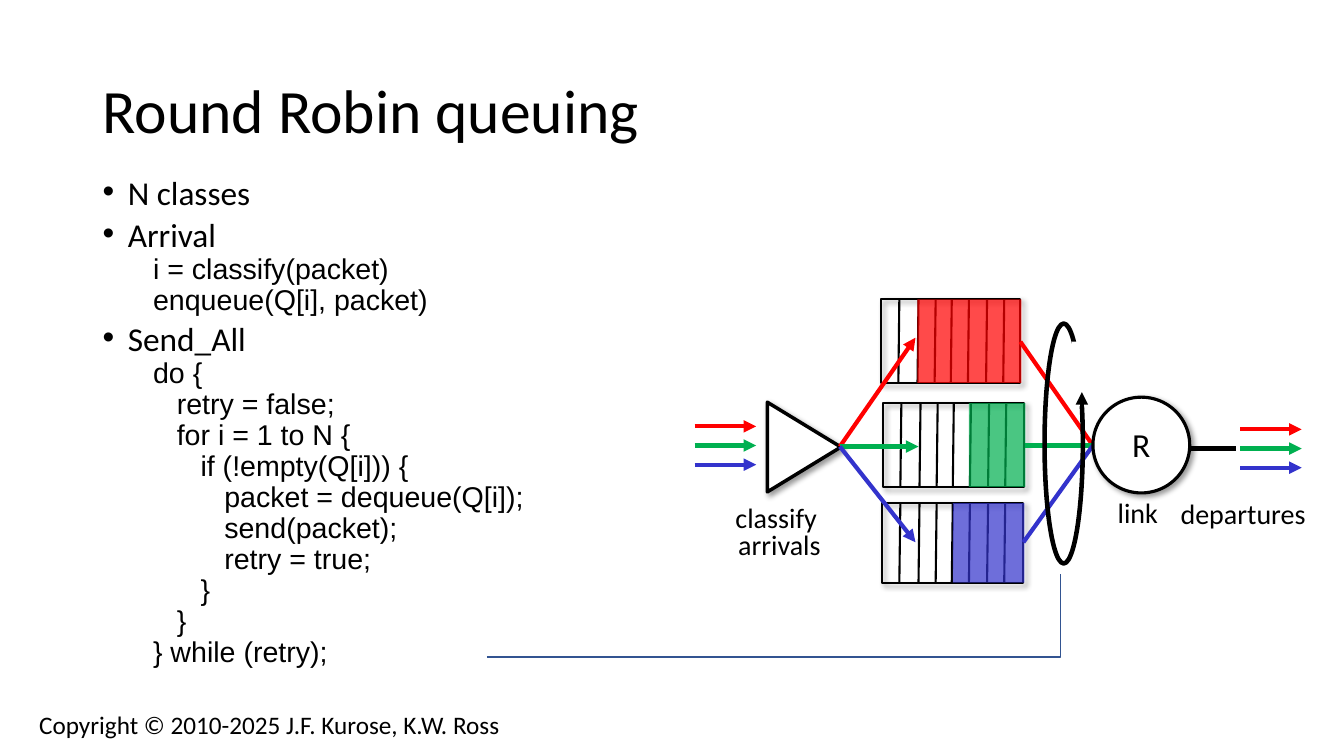
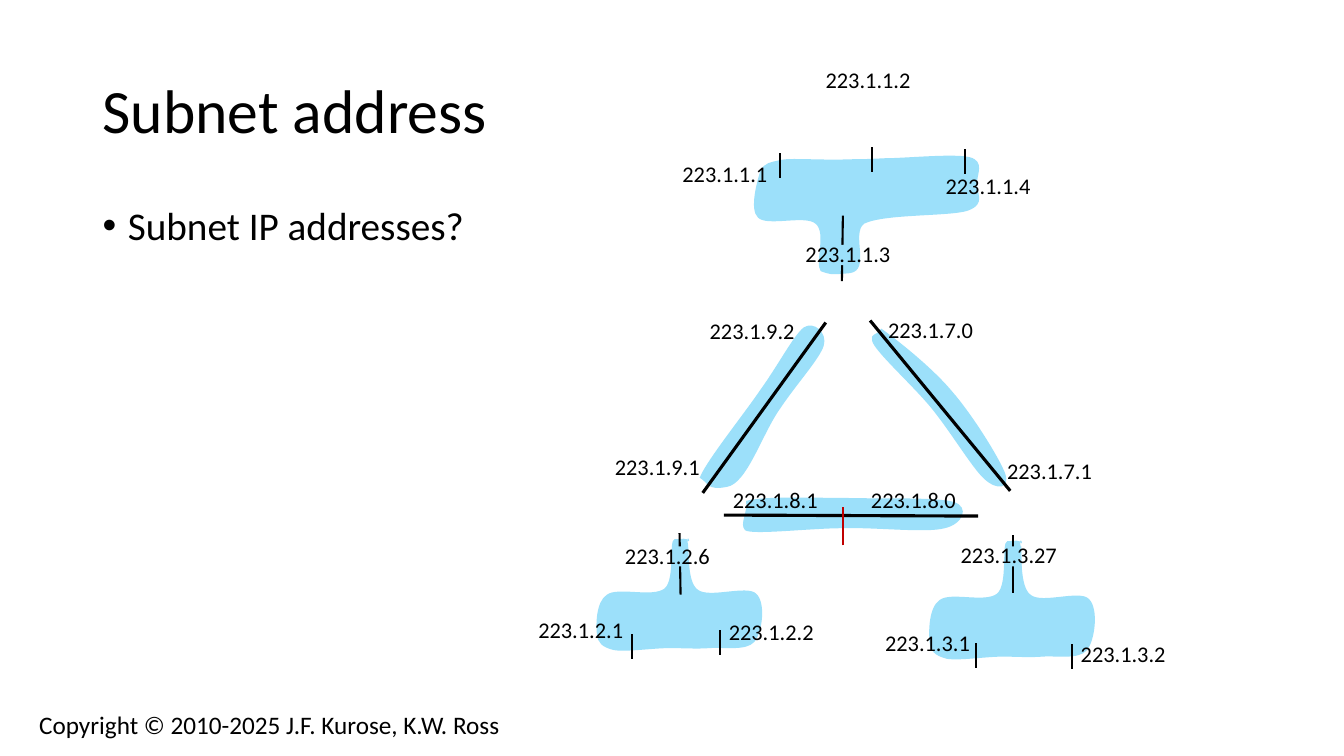
from lxml import etree
from pptx import Presentation
from pptx.dml.color import RGBColor
from pptx.enum.shapes import MSO_CONNECTOR, MSO_SHAPE
from pptx.enum.text import MSO_ANCHOR, MSO_AUTO_SIZE, PP_ALIGN
from pptx.oxml.ns import qn
from pptx.util import Inches, Pt

STRAIGHT = MSO_CONNECTOR.STRAIGHT
RECTANGLE = MSO_SHAPE.RECTANGLE
ELLIPSE = MSO_SHAPE.OVAL
TRIANGLE = MSO_SHAPE.ISOSCELES_TRIANGLE
CENTER, LEFT = PP_ALIGN.CENTER, PP_ALIGN.LEFT
MIDDLE, TOP = MSO_ANCHOR.MIDDLE, MSO_ANCHOR.TOP
GROW = MSO_AUTO_SIZE.SHAPE_TO_FIT_TEXT

BLACK, WHITE = "000000", "FFFFFF"
RED, GREEN, BLUE = "FF0000", "00B050", "3333CC"
FLOW_COLORS = (RED, GREEN, BLUE)
DARK_RED, GUIDE_BLUE, SUBNET_BLUE = "C00000", "325491", "9CE0FA"
FOOTER = "Copyright © 2010-2025 J.F. Kurose, K.W. Ross"
CELL_EDGES = (0.18, 0.37, 0.54, 0.7, 0.87, 1.05, 1.22)

ARRIVAL_CODE = ["i = classify(packet)", "enqueue(Q[i], packet)"]
SEND_CODE = [
    "do {",
    "   retry = false;",
    "   for i = 1 to N {",
    "      if (!empty(Q[i])) {",
    "         packet = dequeue(Q[i]);",
    "         send(packet);",
    "         retry = true;",
    "      }",
    "   }",
    "} while (retry);",
]

RIGHT_LINK = [
    (8.65, 3.38), (8.66, 3.47), (9.04, 3.81), (9.23, 4.04), (9.42, 4.27), (9.64, 4.64),
    (9.76, 4.75), (9.89, 4.87), (10.02, 4.85), (9.97, 4.7), (9.92, 4.56), (9.65, 4.12),
    (9.44, 3.88), (9.24, 3.64), (8.87, 3.35), (8.74, 3.26), (8.68, 3.35), (8.64, 3.29),
    (8.65, 3.38),
]
BOTTOM_LINK = [
    (7.39, 5.26), (7.46, 5.31), (8.03, 5.24), (8.36, 5.24), (8.69, 5.23), (9.19, 5.29),
    (9.37, 5.24), (9.55, 5.2), (9.62, 5.03), (9.46, 4.98), (9.29, 4.93), (8.73, 4.95),
    (8.39, 4.94), (8.05, 4.94), (7.56, 4.92), (7.4, 4.97), (7.42, 5.08), (7.33, 5.2),
    (7.39, 5.26),
]
LEFT_LINK = [
    (7.21, 4.83), (7.41, 4.8), (7.56, 4.3), (7.74, 4.05), (7.9, 3.81), (8.13, 3.56),
    (8.17, 3.43), (8.21, 3.3), (8.07, 3.18), (7.97, 3.25), (7.87, 3.33), (7.72, 3.62),
    (7.54, 3.87), (7.37, 4.12), (7, 4.58), (6.94, 4.74), (7.03, 4.79), (7.01, 4.87),
    (7.21, 4.83),
]
TOP_SUBNET = [
    (8.43, 2.71), (8.64, 2.68), (8.44, 2.32), (8.57, 2.22), (8.77, 2.12), (9.42, 2.15),
    (9.6, 2.09), (9.79, 2.02), (9.68, 1.91), (9.69, 1.82), (9.69, 1.73), (9.77, 1.6),
    (9.62, 1.56), (9.47, 1.52), (8.98, 1.57), (8.78, 1.57), (8.57, 1.58), (8.52, 1.58),
    (8.4, 1.58), (8.28, 1.59), (8.16, 1.58), (8.05, 1.58), (7.94, 1.58), (7.81, 1.57),
    (7.73, 1.59), (7.65, 1.61), (7.58, 1.61), (7.54, 1.7), (7.51, 1.8), (7.43, 2.08),
    (7.52, 2.16), (7.61, 2.25), (7.99, 2.13), (8.09, 2.22), (8.2, 2.31), (8.08, 2.61),
    (8.14, 2.69), (8.23, 2.72), (8.22, 2.73), (8.43, 2.71),
]
LEFT_SUBNET = [
    (6.69, 5.35), (6.63, 5.36), (6.7, 5.75), (6.59, 5.84), (6.47, 5.93), (6.13, 5.82),
    (6.02, 5.9), (5.91, 5.97), (5.91, 6.2), (5.92, 6.29), (5.93, 6.38), (5.97, 6.42),
    (6.09, 6.45), (6.21, 6.47), (6.48, 6.43), (6.64, 6.43), (6.8, 6.43), (6.9, 6.44),
    (7.04, 6.43), (7.18, 6.42), (7.4, 6.46), (7.48, 6.37), (7.56, 6.28), (7.6, 5.98),
    (7.5, 5.89), (7.41, 5.8), (7.03, 5.94), (6.92, 5.85), (6.81, 5.77), (6.84, 5.46),
    (6.82, 5.38), (6.81, 5.3), (6.85, 5.37), (6.83, 5.37), (6.81, 5.33), (6.76, 5.35),
    (6.69, 5.35),
]
RIGHT_SUBNET = [(x + 3.3, 5.37 + (y - 5.35) * 1.06) for x, y in LEFT_SUBNET]

ADDRESSES = [
    ("223.1.1.1", 6.67, 1.54), ("223.1.1.2", 8.09, 0.61), ("223.1.1.3", 7.89, 2.33),
    ("223.1.1.4", 9.28, 1.66), ("223.1.2.1", 5.24, 6.06), ("223.1.2.2", 7.13, 6.08),
    ("223.1.2.6", 6.1, 5.33), ("223.1.3.1", 8.68, 6.19), ("223.1.3.2", 10.62, 6.3),
    ("223.1.3.27", 9.43, 5.32), ("223.1.7.0", 8.71, 3.09), ("223.1.7.1", 9.89, 4.49),
    ("223.1.8.0", 8.54, 4.77), ("223.1.8.1", 7.17, 4.77), ("223.1.9.1", 6, 4.45),
    ("223.1.9.2", 6.94, 3.1),
]
HOST_TICKS = [(7.74, 1.52), (8.65, 1.46), (9.57, 1.48), (6.27, 6.29),
              (7.14, 6.25), (9.68, 6.38), (10.63, 6.39)]


def color(value):
    return RGBColor.from_string(value)


def add_paragraph(frame, text, size=20, font="Calibri", align=LEFT, spacing=1.0,
                  before=0, margin=0, bullet=False):
    first = not frame.paragraphs[0].runs
    para = frame.paragraphs[0] if first else frame.add_paragraph()
    properties = para._p.get_or_add_pPr()
    properties.set("marL", str(Inches(margin)))
    properties.set("indent", str(Inches(-margin if bullet else 0)))
    if bullet:
        etree.SubElement(properties, qn("a:buFont"), typeface="Arial")
        etree.SubElement(properties, qn("a:buChar"), char="•")
    para.alignment = align
    para.line_spacing = spacing
    para.space_before = Pt(0 if first else before)
    span = para.add_run()
    span.text = text
    span.font.size = Pt(size)
    span.font.name = font
    span.font.color.rgb = color(BLACK)


def add_text(page, left, top, width, height, *lines, wrap=True, grow=False,
             anchor=TOP, **style):
    box = page.shapes.add_textbox(Inches(left), Inches(top), Inches(width), Inches(height))
    frame = box.text_frame
    frame.word_wrap = wrap
    frame.vertical_anchor = anchor
    if grow:
        frame.auto_size = GROW
    for line in lines:
        add_paragraph(frame, line, **style)
    return frame


def add_label(page, left, top, width, height, *lines, **style):
    add_text(page, left, top, width, height, *lines, wrap=False, grow=True, **style)


def paint(shape, fill=None, line=None, weight=1.5, opacity=100, shadow=False):
    shape.shadow.inherit = False
    if fill:
        shape.fill.solid()
        shape.fill.fore_color.rgb = color(fill)
        if opacity < 100:
            tint = shape._element.spPr.find(".//" + qn("a:srgbClr"))
            etree.SubElement(tint, qn("a:alpha"), val=str(opacity * 1000))
    else:
        shape.fill.background()
    if line:
        shape.line.color.rgb = color(line)
        shape.line.width = Pt(weight)
    else:
        shape.line.fill.background()
    if shadow:
        effects = shape._element.spPr.find(qn("a:effectLst"))
        outer = etree.SubElement(effects, qn("a:outerShdw"), blurRad=str(Pt(4)),
                                 dist=str(Pt(3)), dir=str(45 * 60000), rotWithShape="0")
        tint = etree.SubElement(outer, qn("a:srgbClr"), val=BLACK)
        etree.SubElement(tint, qn("a:alpha"), val="40000")


def add_shape(page, kind, left, top, width, height, **style):
    shape = page.shapes.add_shape(kind, Inches(left), Inches(top), Inches(width), Inches(height))
    paint(shape, **style)
    return shape


def add_line(page, start, end, stroke=BLACK, weight=1.5, arrow=False):
    line = page.shapes.add_connector(STRAIGHT, *(Inches(value) for value in (*start, *end)))
    line.line.color.rgb = color(stroke)
    line.line.width = Pt(weight)
    properties = line._element.spPr
    if arrow:
        etree.SubElement(properties.find(qn("a:ln")), qn("a:tailEnd"), type="triangle")
    etree.SubElement(properties, qn("a:effectLst"))


def add_outline(page, points, close=True, **style):
    corners = [(Inches(x), Inches(y)) for x, y in points]
    builder = page.shapes.build_freeform(*corners[0], scale=1.0)
    builder.add_line_segments(corners[1:], close=close)
    shape = builder.convert_to_shape()
    paint(shape, **style)
    return shape


def add_blob(page, knots):
    shape = add_outline(page, knots, fill=SUBNET_BLUE)
    segments = list(shape._element.iter(qn("a:lnTo")))
    for first in range(0, len(knots) - 1, 3):
        curve = etree.Element(qn("a:cubicBezTo"))
        segments[first].addprevious(curve)
        for segment in segments[first:first + 3]:
            curve.append(segment[0])
            segment.getparent().remove(segment)


def add_queue(page, left, top, width, height, fill_left, fill):
    add_shape(page, RECTANGLE, left, top, width, height, line=BLACK, shadow=True)
    for edge in CELL_EDGES:
        x = left + edge
        add_line(page, (x, top), (x - 0.01, top + height))
    add_shape(page, RECTANGLE, fill_left, top, left + width + 0.01 - fill_left, height,
              fill=fill, opacity=71)


def add_flows(page, left, top):
    for index, stroke in enumerate(FLOW_COLORS):
        y = top + index * 0.19
        add_line(page, (left, y), (left + 0.61, y), stroke, 3, arrow=True)


def add_page(deck, title):
    page = deck.slides.add_slide(deck.slide_layouts[6])
    add_text(page, 0.92, 0.4, 11.5, 1.45, title, anchor=MIDDLE, size=44, spacing=0.9)
    add_text(page, 0.29, 6.99, 4.9, 0.4, FOOTER, grow=True, size=18)
    return page


def build_round_robin(deck):
    page = add_page(deck, "Round Robin queuing")
    heading = dict(size=23.8, spacing=0.7, before=10, margin=0.25, bullet=True)
    code = dict(size=20.4, font="Arial", spacing=0.7, before=5, margin=0.5)
    body = add_text(page, 0.92, 1.77, 5.87, 4.99, "N classes", **heading)
    for title, lines in (("Arrival", ARRIVAL_CODE), ("Send_All", SEND_CODE)):
        add_paragraph(body, title, **heading)
        for line in lines:
            add_paragraph(body, line, **code)

    add_line(page, (11.76, 4.45), (12.26, 4.45), weight=3)
    add_queue(page, 8.74, 2.97, 1.38, 0.83, 9.1, RED)
    add_queue(page, 8.76, 4, 1.4, 0.83, 9.61, GREEN)
    add_queue(page, 8.75, 4.99, 1.4, 0.79, 9.45, BLUE)
    classifier = add_shape(page, TRIANGLE, 7.53, 4.07, 0.89, 0.73, fill=WHITE,
                           line=BLACK, weight=2.5, shadow=True)
    classifier.rotation = 90
    add_flows(page, 6.89, 4.23)
    add_flows(page, 12.3, 4.26)

    queue_entries = ((9.08, 3.35), (9.11, 4.43), (9.08, 5.38))
    queue_exits = ((10.12, 3.39), (10.17, 4.42), (10.15, 5.38))
    for stroke, entry, leave in zip(FLOW_COLORS, queue_entries, queue_exits):
        add_line(page, (8.33, 4.43), entry, stroke, 3, arrow=True)
        add_line(page, leave, (10.84, 4.42), stroke, 3)

    add_shape(page, ELLIPSE, 10.84, 3.94, 0.96, 0.95, fill=WHITE,
              line=BLACK, weight=2.25, shadow=True)
    caption = dict(align=CENTER, spacing=0.8)
    add_label(page, 11.13, 4.23, 0.38, 0.43, "R", size=24, **caption)
    add_label(page, 7.19, 4.98, 1.08, 0.65, "classify ", "arrivals", **caption)
    add_label(page, 10.98, 4.93, 0.61, 0.38, "link", **caption)
    add_label(page, 11.6, 4.94, 1.46, 0.38, "departures", **caption)

    add_shape(page, ELLIPSE, 10.36, 3.21, 0.38, 2.38, line=BLACK, weight=3.25)
    add_shape(page, RECTANGLE, 10.63, 3.39, 0.21, 0.64, fill=WHITE)
    add_line(page, (10.73, 4.18), (10.73, 3.89), weight=3, arrow=True)
    add_outline(page, [(4.83, 6.52), (10.52, 6.52), (10.52, 5.69)], close=False,
                line=GUIDE_BLUE, weight=1)


def build_subnets(deck):
    page = add_page(deck, "Subnet address")
    add_text(page, 0.92, 2, 11.5, 4.76, "Subnet IP addresses?", size=28,
             spacing=0.9, margin=0.25, bullet=True)
    for knots in (RIGHT_LINK, BOTTOM_LINK, LEFT_LINK, TOP_SUBNET, LEFT_SUBNET, RIGHT_SUBNET):
        add_blob(page, knots)
    for start, end in (((8.36, 2.14), (8.35, 2.79)), ((6.74, 5.29), (6.75, 5.9)),
                       ((10.05, 5.31), (10.05, 5.88))):
        add_line(page, start, end)
    for left, top, width in ((8.17, 2.43, 0.34), (6.68, 5.42, 0.14), (9.99, 5.42, 0.14)):
        add_shape(page, RECTANGLE, left, top, width, 0.2, fill=SUBNET_BLUE)
    for start, end in (((6.97, 4.89), (8.19, 3.2)), ((10.02, 4.87), (8.63, 3.18)),
                       ((9.7, 5.12), (7.18, 5.11))):
        add_line(page, start, end, weight=2.25)
    for address, left, top in ADDRESSES:
        width = 1.17 if len(address) > 9 else 1.05
        add_label(page, left, top, width, 0.37, address, size=16)
    for x, top in HOST_TICKS:
        add_line(page, (x, top), (x, top + 0.25))
    add_line(page, (8.36, 5.41), (8.36, 5.03), DARK_RED)


def main():
    deck = Presentation()
    deck.slide_width = Inches(13.33)
    deck.slide_height = Inches(7.5)
    build_round_robin(deck)
    build_subnets(deck)
    deck.save("out.pptx")


if __name__ == "__main__":
    main()
